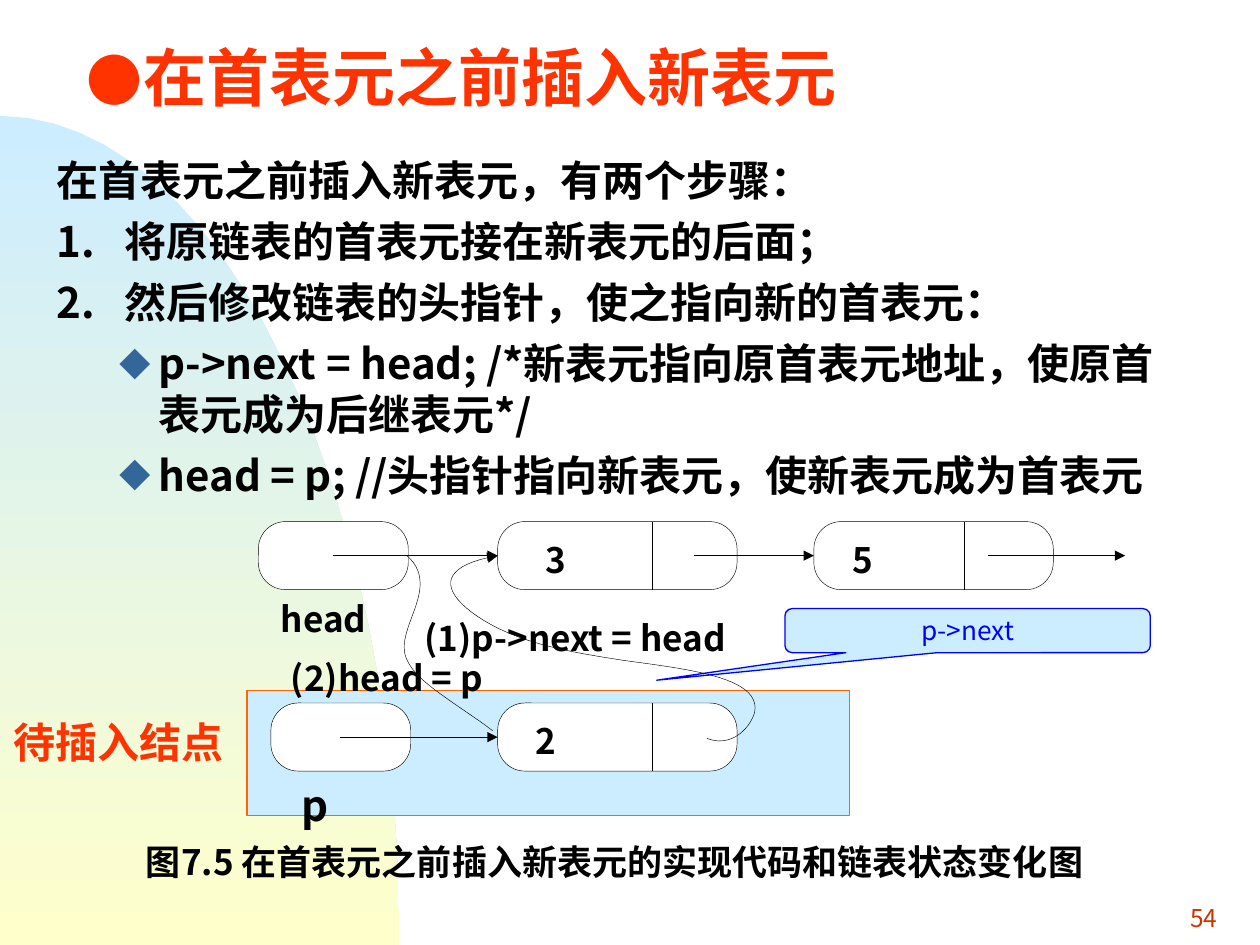
from dataclasses import dataclass

from lxml import etree
from pptx import Presentation
from pptx import util as u
from pptx.dml.color import RGBColor
from pptx.enum import shapes, text
from pptx.oxml import ns


@dataclass(frozen=True)
class Theme:
    font: str = "Noto Sans CJK SC"
    ink: str = "010000"
    line: str = "000000"
    white: str = "FFFFFF"
    red: str = "FF3300"
    page: str = "CC3300"
    blue: str = "0000FF"
    sky: str = "CCECFF"
    cream: str = "FFFFCC"
    edge: str = "FF6600"
    mark: str = "336699"
    head: int = 36
    dot: int = 32
    body: int = 24
    label: int = 20
    note: int = 15
    num: int = 14
    thin: float = 0.25
    rule: float = 0.75


T = Theme()
ALIGN = text.PP_ALIGN
SHAPE = shapes.MSO_SHAPE


def rgb(hue):
    return RGBColor.from_string(hue)


def add(parent, tag, **attrs):
    return etree.SubElement(parent, ns.qn(tag), attrs)


def place(shape, box):
    shape.left, shape.top, shape.width, shape.height = map(u.Inches, box)


def write(para, words, size, hue=T.ink, bold=True):
    run = para.add_run()
    run.text = words
    font = run.font
    font.size, font.bold, font.name = u.Pt(size), bold, T.font
    font.color.rgb = rgb(hue)
    add(font._element, "a:ea", typeface=T.font)


def frame(shape, pad=0.1, mid=False):
    tf = shape.text_frame
    tf.word_wrap = True
    tf.margin_left = tf.margin_right = u.Inches(pad)
    # The fixed line pitch lifts the text a little; the top inset lowers it.
    tf.margin_top = u.Inches(pad / 2 + (0.06 if mid else 0.03))
    tf.margin_bottom = u.Inches(pad / 2)
    tf.vertical_anchor = (text.MSO_ANCHOR.MIDDLE if mid
                          else text.MSO_ANCHOR.TOP)
    return tf


def label(slide, box, words, size=T.label, hue=T.ink, bold=True,
          pad=0, mid=False, align=ALIGN.LEFT):
    shape = slide.shapes.add_textbox(*map(u.Inches, box))
    para = frame(shape, pad, mid).paragraphs[0]
    para.alignment, para.line_spacing = align, u.Pt(1.2 * size)
    write(para, words, size, hue, bold)


def block(slide, kind, box, fill, edge, width):
    shape = slide.shapes.add_shape(kind, *map(u.Inches, box))
    shape.shadow.inherit = False
    shape.fill.solid()
    shape.fill.fore_color.rgb = rgb(fill)
    shape.line.color.rgb = rgb(edge)
    shape.line.width = u.Pt(width)
    return shape


def ink(shape, head):
    """Give a line its colour, weight and arrowhead."""
    shape.line.color.rgb = rgb(T.line)
    shape.line.width = u.Pt(T.thin)
    if head:
        add(shape.line._get_or_add_ln(), "a:tailEnd", type="triangle")


def link(slide, start, end, head=False, to=None):
    line = slide.shapes.add_connector(
        shapes.MSO_CONNECTOR.STRAIGHT, *map(u.Inches, start + end))
    if to is not None:
        line.end_connect(to, 1)
    ink(line, head)
    add(line._element.spPr, "a:effectLst")


def trace(start, *curves, steps=24):
    """Sample a chain of cubic curves, each given by three points."""
    pts = [start]
    for b, c, d in curves:
        a = pts[-1]
        for i in range(1, steps + 1):
            t = i / steps
            s = 1 - t
            pts.append(tuple(
                s**3 * p + 3 * s * s * t * q + 3 * s * t * t * r + t**3 * z
                for p, q, r, z in zip(a, b, c, d)))
    return pts


def outline(slide, pts, close=False):
    pts = [tuple(map(u.Inches, p)) for p in pts]
    pen = slide.shapes.build_freeform(*pts[0], scale=1.0)
    pen.add_line_segments(pts[1:], close=close)
    shape = pen.convert_to_shape()
    shape.shadow.inherit = False
    return shape


def curve(slide, start, *parts, head=False):
    shape = outline(slide, trace(start, *parts))
    shape.fill.background()
    ink(shape, head)


def sweep(slide, box):
    """Quarter ellipse with a vertical gradient."""
    x, y, w, h = box
    arc = trace((x, y), ((x + 0.55 * w, y), (x + w, y + 0.45 * h),
                         (x + w, y + h)))
    shape = outline(slide, arc + [(x, y + h)], close=True)
    shape.line.fill.background()
    shape.fill.gradient()
    shape.fill.gradient_angle = 270
    for stop, hue, pos in zip(shape.fill.gradient_stops,
                              (T.sky, T.cream), (0, 1)):
        stop.color.rgb, stop.position = rgb(hue), pos


def title(slide, box):
    shape = slide.shapes.title
    place(shape, box)
    para = frame(shape, mid=True).paragraphs[0]
    para.alignment, para.line_spacing = ALIGN.LEFT, u.Pt(41)
    write(para, "●", T.dot, T.red)
    write(para, "在首表元之前插入新表元", T.head, T.red)


def steps(slide, box):
    rows = [
        (0, "在首表元之前插入新表元，有两个步骤："),
        (0, "1.\t将原链表的首表元接在新表元的后面；"),
        (0, "2.\t然后修改链表的头指针，使之指向新的首表元："),
        (1, "p->next = head; /*新表元指向原首表元地址，"
            "使原首表元成为后继表元*/"),
        (1, "head = p; //头指针指向新表元，使新表元成为首表元"),
    ]
    tf = frame(slide.shapes.add_textbox(*map(u.Inches, box)))
    for i, (level, words) in enumerate(rows):
        para = tf.add_paragraph() if i else tf.paragraphs[0]
        para.line_spacing = u.Pt(1.2 * T.body)
        para.space_before = u.Pt(6 if i else 0)
        left, hang = ((0.54, 0.54), (0.81, 0.31))[level]
        props = para._p.get_or_add_pPr()
        props.set("marL", str(u.Inches(left)))
        props.set("indent", str(-u.Inches(hang)))
        if level:
            add(add(props, "a:buClr"), "a:srgbClr", val=T.mark)
            add(props, "a:buSzPct", val="75000")
            add(props, "a:buFont", typeface=T.font)
            add(props, "a:buChar", char="◆")
        write(para, words, T.body)


def node(slide, box, split=None, value="", inset=0):
    """List cell: a rounded box, with a divider and a value if split."""
    x, y, w, h = box
    shape = block(slide, SHAPE.ROUNDED_RECTANGLE, box,
                  T.white, T.line, T.thin)
    shape.adjustments[0] = 0.4
    if split:
        link(slide, (x + split, y), (x + split, y + h))
        label(slide, (x + inset, y + 0.1, 0.3, 0.33), value)
    return shape


def diagram(slide, box):
    x, y, w, h = box
    tall, wide, low = 0.54, 1.9, y + 1.44
    mid, base = y + tall / 2, low + tall / 2
    # Band and callout
    block(slide, SHAPE.RECTANGLE, (x, y + 1.34, 4.78, 0.99),
          T.sky, T.edge, T.rule)
    call = block(slide, SHAPE.ROUNDED_RECTANGULAR_CALLOUT,
                 (x + 4.27, y + 0.69, 2.9, 0.35), T.sky, T.blue, T.rule)
    for i, value in enumerate((-0.851, 1.125, 0.167)):
        call.adjustments[i] = value
    para = frame(call).paragraphs[0]
    para.alignment, para.line_spacing = ALIGN.CENTER, u.Pt(0.96 * T.note)
    write(para, "p->next", T.note, T.blue, False)
    # Cells
    node(slide, (x + 0.09, y, 1.19, tall))
    three = node(slide, (x + 1.99, y, wide, tall), 1.23, "3", 0.38)
    five = node(slide, (x + 4.5, y, wide, tall), 1.19, "5", 0.31)
    node(slide, (x + 0.19, low, 1.11, tall))
    two = node(slide, (x + 1.99, low, wide, tall), 1.23, "2", 0.3)
    # Pointers
    for a, b, row, cell in ((0.68, 1.99, mid, three), (3.55, 4.5, mid, five),
                            (5.88, 6.97, mid, None), (0.74, 1.99, base, two)):
        link(slide, (x + a, row), (x + b, row), True, cell)
    curve(slide, (3.23, 4.41),
          ((3.49, 4.64), (3.18, 4.94), (3.21, 5.17)),
          ((3.23, 5.3), (3.36, 5.41), (3.5, 5.51)),
          ((3.65, 5.62), (3.81, 5.72), (3.91, 5.8)))
    curve(slide, (5.61, 5.86),
          ((5.81, 5.94), (5.96, 5.77), (5.99, 5.65)),
          ((6.04, 5.37), (5.44, 5.31), (4.94, 5.24)),
          ((4.55, 5.18), (4.21, 5.12), (3.92, 4.97)),
          ((3.6, 4.8), (3.33, 4.52), (3.95, 4.41)), head=True)
    # Labels
    label(slide, (x + 0.27, y + 0.57, 0.84, 0.33), "head")
    label(slide, (x + 0.43, y + 2.02, 0.34, 0.4), "p", T.body)
    label(slide, (x + 1.41, y + 0.72, 2.6, 0.33), "(1)p->next = head")
    label(slide, (x + 0.35, y + 1.04, 1.7, 0.33), "(2)head = p")
    label(slide, (x - 1.95, y + 1.47, 2, 0.5), "待插入结点",
          T.body, T.red, pad=0.1)
    label(slide, (x - 0.9, y + h - 0.44, 8.11, 0.44),
          "图7.5 在首表元之前插入新表元的实现代码和链表状态变化图", pad=0.1)


def main():
    prs = Presentation()
    prs.slide_width, prs.slide_height = u.Inches(10), u.Inches(7.5)
    slide = prs.slides.add_slide(prs.slide_layouts[5])
    sweep(slide, (0, 0.92, 3.17, 6.58))
    title(slide, (0.59, 0.28, 7.01, 0.63))
    steps(slide, (0.35, 1.15, 9.08, 2.9))
    diagram(slide, (1.96, 4.14, 7.17, 2.89))
    label(slide, (7.68, 7, 2.08, 0.5), "54", T.num, T.page, False,
          0.1, True, ALIGN.RIGHT)
    prs.save("out.pptx")


if __name__ == "__main__":
    main()
